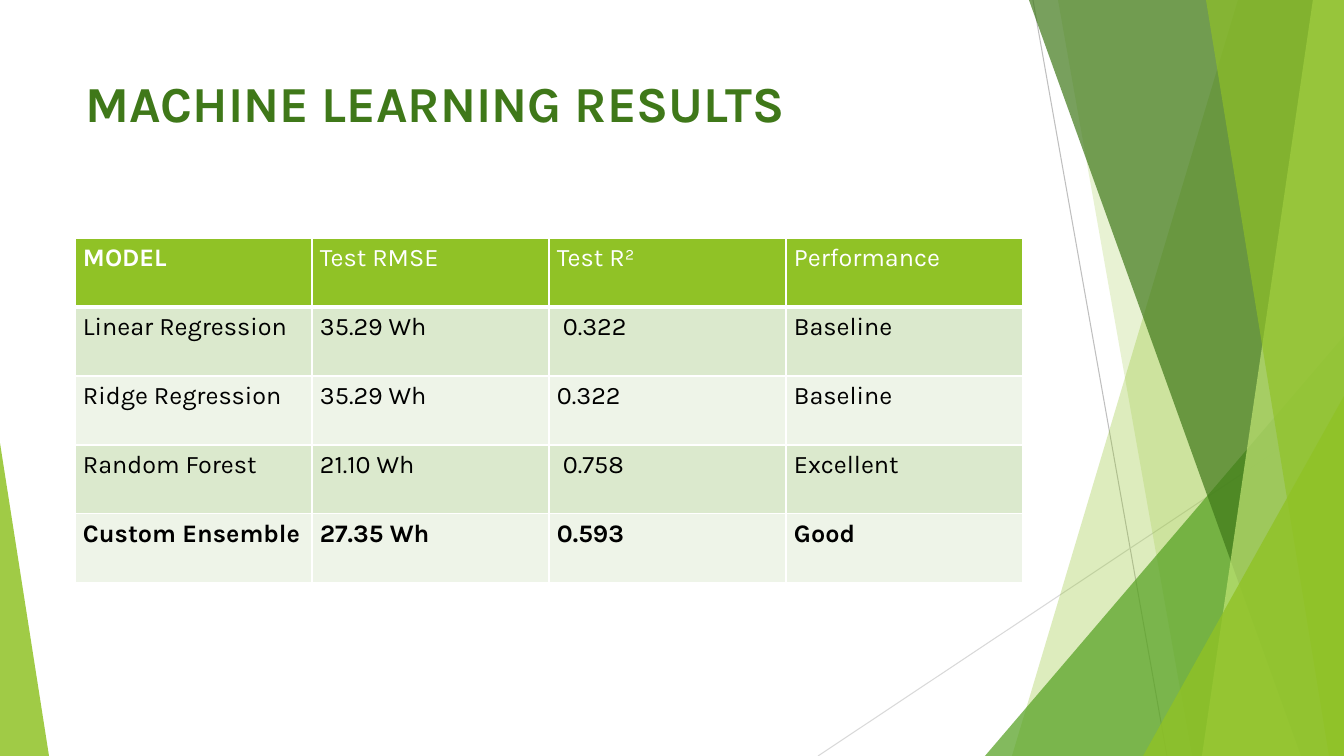
import pptx
import pptx.dml.color
import pptx.enum.shapes
import pptx.enum.text
import pptx.oxml.ns
import pptx.util
import lxml.etree

PX = 12192000 / 1344
WIDTH, HEIGHT = 1344, 756
FONT = "Karla"
LIME, FOREST, WHITE, BLACK = "90C226", "3F7819", "FFFFFF", "000000"

ROWS = [
    ["MODEL", "Test RMSE", "Test R²", "Performance"],
    ["Linear Regression", "35.29 Wh", " 0.322", "Baseline"],
    ["Ridge Regression", "35.29 Wh", "0.322", "Baseline"],
    ["Random Forest", "21.10 Wh", " 0.758", "Excellent"],
    ["Custom Ensemble", "27.35 Wh", "0.593", "Good"],
]


def px(length):
    return pptx.util.Emu(round(length * PX))


def rgb(color):
    return pptx.dml.color.RGBColor.from_string(color)


def add_child(parent, tag, **attributes):
    return lxml.etree.SubElement(parent, pptx.oxml.ns.qn(tag), **attributes)


def write(frame, text, size=18, color=BLACK, bold=False):
    para = frame.paragraphs[0]
    para.alignment = pptx.enum.text.PP_ALIGN.LEFT
    span = para.add_run()
    span.text = text
    span.font.name = FONT
    span.font.size = pptx.util.Pt(size)
    span.font.bold = bold
    span.font.color.rgb = rgb(color)


def paint(shape, color, opacity):
    shape.shadow.inherit = False
    shape.line.fill.background()
    shape.fill.solid()
    shape.fill.fore_color.rgb = rgb(color)
    solid = shape._element.spPr.find(pptx.oxml.ns.qn("a:solidFill"))
    add_child(solid[0], "a:alpha", val=str(opacity * 1000))


def add_line(page, start, end, color):
    line = page.shapes.add_connector(
        pptx.enum.shapes.MSO_CONNECTOR.STRAIGHT, *map(px, start + end))
    line.line.color.rgb = rgb(color)
    line.line.width = pptx.util.Pt(0.75)
    add_child(line._element.spPr, "a:effectLst")


def add_band(page, top_left, bottom_left, color, opacity):
    """A slanted left edge, filled out to the right edge of the slide."""
    builder = page.shapes.build_freeform(top_left, 0, scale=PX)
    builder.add_line_segments(
        [(WIDTH, 0), (WIDTH, HEIGHT), (bottom_left, HEIGHT)], close=True)
    paint(builder.convert_to_shape(), color, opacity)


def add_corner(page, left, top, width, apex, color, opacity):
    """A triangle that stands on the bottom edge of the slide."""
    corner = page.shapes.add_shape(
        pptx.enum.shapes.MSO_SHAPE.ISOSCELES_TRIANGLE,
        px(left), px(top), px(width), px(HEIGHT - top))
    corner.adjustments[0] = apex
    paint(corner, color, opacity)


def add_borders(cell, top, bottom):
    properties = cell._tc.get_or_add_tcPr()
    sides = {"a:lnL": 1, "a:lnR": 1, "a:lnT": top, "a:lnB": bottom}
    for index, (tag, points) in enumerate(sides.items()):
        border = add_child(properties, tag, w=str(pptx.util.Pt(points)))
        add_child(add_child(border, "a:solidFill"), "a:srgbClr", val=WHITE)
        properties.insert(index, border)  # borders go before the fill


def add_results(page, left, top, column_width, row_height):
    columns = len(ROWS[0])
    table = page.shapes.add_table(
        len(ROWS), columns, px(left), px(top),
        px(column_width * columns), px(row_height * len(ROWS))).table
    for column in table.columns:
        column.width = px(column_width)
    for row, texts in enumerate(ROWS):
        table.rows[row].height = px(row_height)
        header, last = row == 0, row == len(ROWS) - 1
        fill = LIME if header else ("EEF4E8", "DBE9CD")[row % 2]
        for column, text in enumerate(texts):
            cell = table.cell(row, column)
            cell.margin_left = cell.margin_right = px(8)
            cell.margin_top = cell.margin_bottom = px(5)
            cell.fill.solid()
            cell.fill.fore_color.rgb = rgb(fill)
            add_borders(cell, 3 if row == 1 else 1, 3 if header else 1)
            write(cell.text_frame, text, color=WHITE if header else BLACK,
                  bold=last or (header and column == 0))


def add_title(page, text):
    title = page.shapes.title
    title.left, title.top, title.width, title.height = map(
        px, (75, 67, 947, 145))
    title.text_frame.word_wrap = True
    title.text_frame.vertical_anchor = pptx.enum.text.MSO_ANCHOR.TOP
    write(title.text_frame, text, size=36, color=FOREST, bold=True)


def main():
    deck = pptx.Presentation()
    deck.slide_width, deck.slide_height = px(WIDTH), px(HEIGHT)
    page = deck.slides.add_slide(deck.slide_layouts[5])

    # Decoration, from back to front
    add_line(page, (1033, 0), (1167, HEIGHT), "BFBFBF")
    add_line(page, (WIDTH, 406), (818, HEIGHT), "D9D9D9")
    add_band(page, 1238, 1012, LIME, 30)
    add_band(page, 1058, 1192, LIME, 20)
    add_corner(page, 985, 336, 359, 1, "54A021", 72)
    add_band(page, 1029, 1301, FOREST, 70)
    add_band(page, 1313, 1202, "C0E474", 70)
    add_band(page, 1206, 1329, LIME, 65)
    add_corner(page, 1143, 396, 201, 1, LIME, 80)
    add_corner(page, 0, 443, 49, 0, LIME, 85)

    # Content
    add_title(page, "MACHINE LEARNING RESULTS")
    add_results(page, 75, 238, 237, 69)
    deck.save("out.pptx")


if __name__ == "__main__":
    main()
